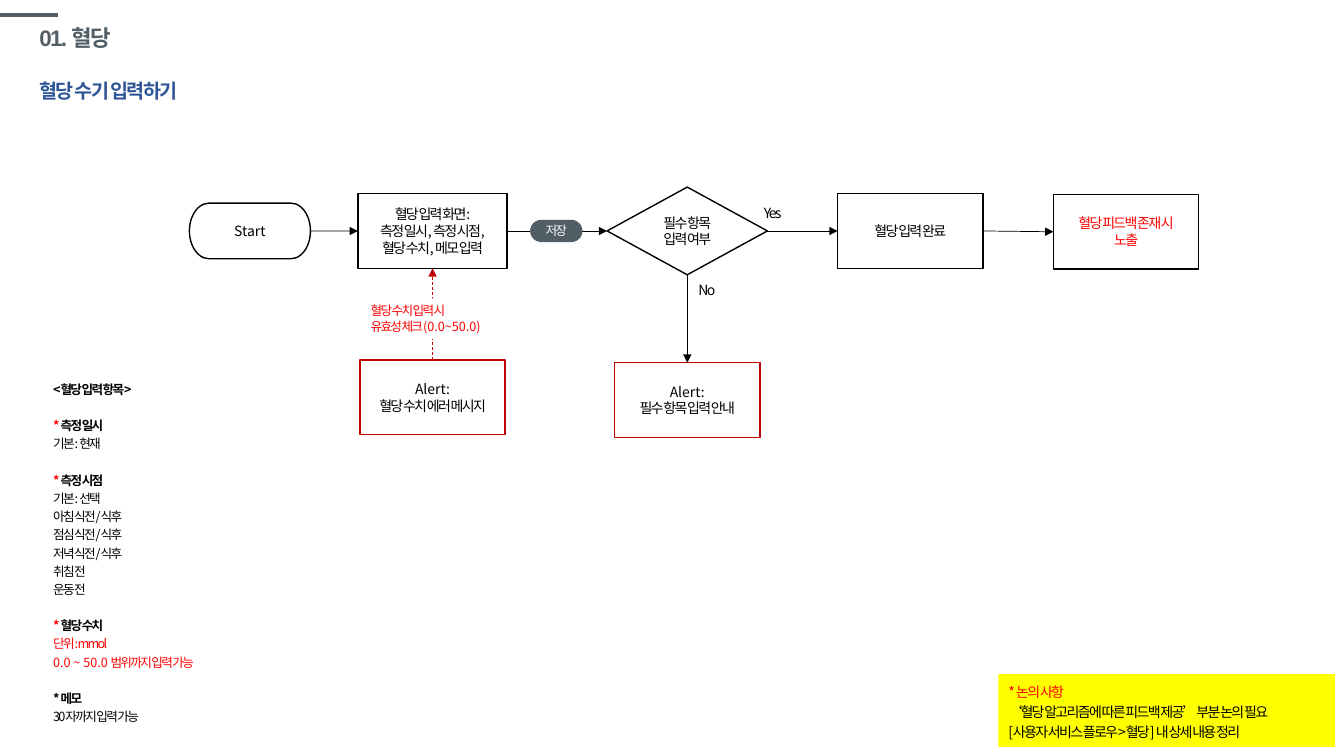
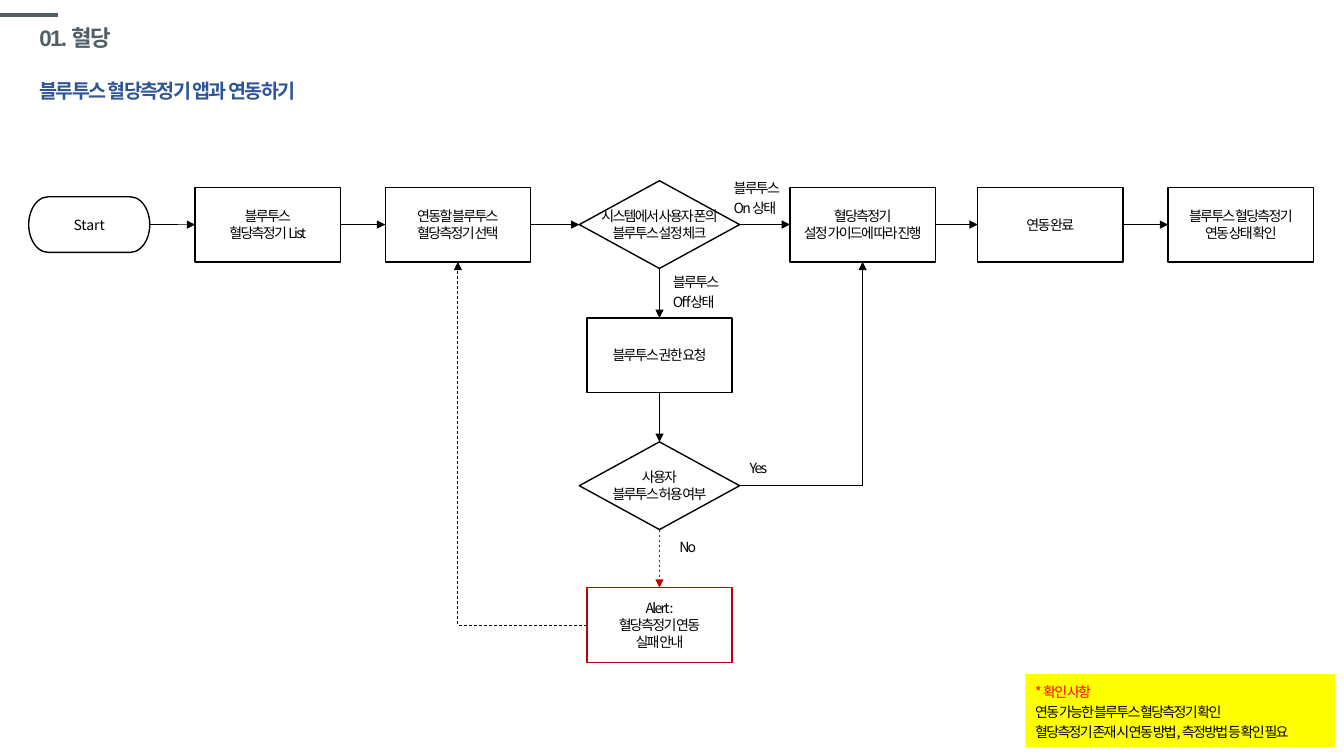
from dataclasses import dataclass
from typing import Optional

from lxml.etree import SubElement
from pptx import Presentation
from pptx.dml.color import RGBColor
from pptx.enum.dml import MSO_LINE
from pptx.enum.shapes import MSO_CONNECTOR, MSO_SHAPE
from pptx.enum.text import MSO_ANCHOR, MSO_AUTO_SIZE, PP_ALIGN
from pptx.oxml.ns import qn
from pptx.util import Cm, Pt

BLACK = RGBColor(0x00, 0x00, 0x00)
WHITE = RGBColor(0xFF, 0xFF, 0xFF)
SLATE = RGBColor(0x51, 0x5E, 0x65)
BLUE = RGBColor(0x2F, 0x55, 0x97)
RED = RGBColor(0xFF, 0x00, 0x00)
DARK_RED = RGBColor(0xC0, 0x00, 0x00)
YELLOW = RGBColor(0xFF, 0xFF, 0x00)

# Connection sites of the flowchart shapes
TOP, LEFT, BOTTOM, RIGHT = range(4)
TIGHT = -1.2


@dataclass
class Run:
    text: str
    color: Optional[RGBColor] = None
    bold: bool = False
    spacing: float = TIGHT


class FlowDeck:
    """Holds the presentation, its style and the current slide."""

    font = "Noto Sans CJK KR"
    title_font = "Arial"
    sizes = {
        MSO_SHAPE.FLOWCHART_TERMINATOR: (3.05, 1.4),
        MSO_SHAPE.FLOWCHART_PROCESS: (3.66, 1.88),
        MSO_SHAPE.FLOWCHART_DECISION: (4.04, 2.21),
    }
    note_right, note_top, note_height = 33.64, 16.99, 1.83

    def __init__(self):
        self.presentation = Presentation()
        self.presentation.slide_width = Cm(33.87)
        self.presentation.slide_height = Cm(19.05)
        self.slide = None

    def add_slide(self, title, subtitle):
        layout = self.presentation.slide_layouts[5]
        self.slide = self.presentation.slides.add_slide(layout)
        self.line(SLATE, 3, begin=(0, 0.38), end=(1.47, 0.38))
        placeholder = self.slide.shapes.title
        placeholder.left, placeholder.top = Cm(0.74), Cm(0.48)
        placeholder.width, placeholder.height = Cm(29.2), Cm(1)
        frame = placeholder.text_frame
        frame.auto_size = MSO_AUTO_SIZE.NONE
        frame.vertical_anchor = MSO_ANCHOR.MIDDLE
        self.add_lines(frame, [Run(title, SLATE, True)], 16, line_spacing=0.9,
                       font=self.title_font)
        self.text(0.74, 1.57, 12.1, 1.14, [Run(subtitle, BLUE, True)], 14, 1.5)

    def add_lines(self, frame, lines, size, color=BLACK, align=PP_ALIGN.LEFT,
                  line_spacing=1.0, font=None, gaps=()):
        """Each line is a string, a Run or a list of Runs."""
        for index, line in enumerate(lines):
            paragraph = frame.paragraphs[0] if index == 0 else frame.add_paragraph()
            paragraph.alignment = align
            paragraph.line_spacing = line_spacing
            if index in gaps:
                paragraph.space_before = Pt(13)
            for part in line if isinstance(line, list) else [line]:
                part = Run(part) if isinstance(part, str) else part
                run = paragraph.add_run()
                run.text = part.text
                run.font.size = Pt(size)
                run.font.bold = part.bold
                run.font.name = font or self.font
                run.font.color.rgb = color if part.color is None else part.color
                properties = run._r.get_or_add_rPr()
                properties.set("spc", str(round(part.spacing * 100)))
                SubElement(properties, qn("a:ea")).set("typeface", self.font)

    def text(self, left, top, width, height, lines, size=10, line_spacing=1.2,
             gaps=()):
        box = self.slide.shapes.add_textbox(Cm(left), Cm(top), Cm(width), Cm(height))
        box.text_frame.word_wrap = True
        self.add_lines(box.text_frame, lines, size, line_spacing=line_spacing, gaps=gaps)

    def shape(self, kind, left, top, width, height, fill, outline=None):
        shape = self.slide.shapes.add_shape(
            kind, Cm(left), Cm(top), Cm(width), Cm(height))
        shape.shadow.inherit = False
        shape.fill.solid()
        shape.fill.fore_color.rgb = fill
        if outline is None:
            shape.line.fill.background()
        else:
            shape.line.color.rgb = outline
            shape.line.width = Pt(1)
        shape.text_frame.vertical_anchor = MSO_ANCHOR.MIDDLE
        return shape

    def node(self, kind, center_x, center_y, lines, outline=BLACK, color=BLACK,
             width=None):
        """Flowchart shape placed by its centre."""
        usual_width, height = self.sizes[kind]
        width = width or usual_width
        shape = self.shape(kind, center_x - width / 2, center_y - height / 2,
                           width, height, WHITE, outline)
        shape.text_frame.word_wrap = False
        self.add_lines(shape.text_frame, lines, 10, color, PP_ALIGN.CENTER)
        return shape

    def start(self, center_x, center_y):
        return self.node(MSO_SHAPE.FLOWCHART_TERMINATOR, center_x, center_y,
                         [Run("Start", spacing=0)])

    def process(self, center_x, center_y, lines, **style):
        return self.node(MSO_SHAPE.FLOWCHART_PROCESS, center_x, center_y, lines, **style)

    def decision(self, center_x, center_y, lines):
        return self.node(MSO_SHAPE.FLOWCHART_DECISION, center_x, center_y, lines)

    def line(self, color, weight, begin=(0, 0), end=(0, 0), kind=MSO_CONNECTOR.STRAIGHT):
        connector = self.slide.shapes.add_connector(
            kind, *(Cm(value) for value in (*begin, *end)))
        connector.line.color.rgb = color
        connector.line.width = Pt(weight)
        SubElement(connector._element.spPr, qn("a:effectLst"))
        return connector

    def arrow(self, source, target, source_side=RIGHT, target_side=LEFT,
              color=BLACK, dashed=False, bent=False):
        kind = MSO_CONNECTOR.ELBOW if bent else MSO_CONNECTOR.STRAIGHT
        connector = self.line(color, 0.5, kind=kind)
        connector.begin_connect(source, source_side)
        connector.end_connect(target, target_side)
        if bent:
            geometry = connector._element.spPr.find(qn("a:prstGeom"))
            geometry.set("prst", "bentConnector2")
        if dashed:
            connector.line.dash_style = MSO_LINE.DASH
        outline = connector._element.spPr.find(qn("a:ln"))
        SubElement(outline, qn("a:tailEnd")).set("type", "triangle")

    def chain(self, nodes):
        for source, target in zip(nodes, nodes[1:]):
            self.arrow(source, target)

    def pill(self, center_x, center_y, label):
        width, height = 1.32, 0.56
        shape = self.shape(MSO_SHAPE.ROUNDED_RECTANGLE, center_x - width / 2,
                           center_y - height / 2, width, height, SLATE)
        shape.adjustments[0] = 0.5
        frame = shape.text_frame
        frame.margin_left = frame.margin_right = 0
        frame.margin_top = frame.margin_bottom = 0
        self.add_lines(frame, [label], 9, WHITE, PP_ALIGN.CENTER)

    def check_label(self, left, top, lines):
        shape = self.shape(MSO_SHAPE.RECTANGLE, left, top, 3.4, 1.02, WHITE)
        shape.text_frame.vertical_anchor = MSO_ANCHOR.TOP
        self.add_lines(shape.text_frame, lines, 9, RED)

    def note(self, width, heading, lines):
        shape = self.shape(MSO_SHAPE.RECTANGLE, self.note_right - width, self.note_top,
                           width, self.note_height, YELLOW)
        self.add_lines(shape.text_frame, [Run(heading, RED), *lines], 10,
                       line_spacing=1.2)

    def listing(self, left, top, width, height, groups):
        """Groups of lines, set apart by paragraph spacing."""
        lines, gaps = [], []
        for group in groups:
            if lines:
                gaps.append(len(lines))
            lines.extend(group)
        self.text(left, top, width, height, lines, 9, gaps=gaps)


def required(name):
    return [Run("* ", RED, True), Run(name, bold=True)]


def build_manual_entry(deck):
    deck.add_slide("01. 혈당", "혈당 수기 입력하기")
    row, entry_x, check_x = 5.82, 10.9, 17.32

    # Main flow
    start = deck.start(6.3, row)
    entry = deck.process(entry_x, row, ["혈당 입력 화면:", "측정 일시, 측정 시점,",
                                        "혈당 수치, 메모 입력"], width=3.76)
    check = deck.decision(check_x, row, ["필수 항목", "입력 여부"])
    done = deck.process(22.94, row, ["혈당 입력 완료"])
    feedback = deck.process(28.38, row + 0.02, ["혈당 피드백 존재 시", "노출"], color=RED)
    deck.chain([start, entry, check, done, feedback])
    deck.pill(14.02, row, "저장")

    # Alerts
    value_alert = deck.process(entry_x, 10.01, [Run("Alert:", spacing=0),
                                                "혈당 수치 에러 메시지"], outline=DARK_RED)
    missing_alert = deck.process(check_x, 10.08, [Run("Alert:", spacing=0),
                                                  "필수 항목 입력 안내"], outline=DARK_RED)
    deck.arrow(value_alert, entry, TOP, BOTTOM, DARK_RED, dashed=True)
    deck.arrow(check, missing_alert, BOTTOM, TOP)
    deck.check_label(9.09, 7.52, [
        "혈당 수치 입력 시",
        [Run("유효성 체크("), Run("0.0~50.0", spacing=0), Run(")")]])
    deck.text(19, 4.95, 1.32, 0.72, ["Yes"])
    deck.text(17.35, 6.88, 1.32, 0.72, ["No"])

    # Input fields and note
    deck.listing(1.09, 9.42, 4.47, 9.02, [
        [Run("<혈당 입력 항목>", bold=True)],
        [required("측정 일시"), "기본: 현재"],
        [required("측정 시점"), "기본: 선택", "아침 식전/식후", "점심 식전/식후",
         "저녁 식전/식후", "취침 전", "운동 전"],
        [required("혈당 수치"), Run("단위: mmol", RED),
         [Run("0.0 ~ 50.0 ", RED, spacing=0), Run("범위까지 입력 가능", RED)]],
        [Run("* 메모", bold=True), "30자까지 입력 가능"],
    ])
    deck.note(8.48, "* 논의 사항", [
        "‘혈당 알고리즘에 따른 피드백 제공’ 부분 논의 필요",
        "[사용자 서비스 플로우>혈당] 내 상세 내용 정리"])


def build_bluetooth_link(deck):
    deck.add_slide("01. 혈당", "블루투스 혈당측정기 앱과 연동하기")
    row, check_x = 5.66, 16.62

    # Main flow
    start = deck.start(2.25, row)
    meters = deck.process(6.75, row, ["블루투스", "혈당측정기 List"])
    choice = deck.process(11.54, row, ["연동할 블루투스", "혈당측정기 선택"])
    check = deck.decision(check_x, row, ["시스템에서 사용자 폰의", "블루투스 설정 체크"])
    guide = deck.process(21.74, row, ["혈당측정기", "설정 가이드에 따라 진행"])
    done = deck.process(26.47, row, ["연동 완료"])
    status = deck.process(31.27, row, ["블루투스 혈당측정기", "연동 상태 확인"])
    deck.chain([start, meters, choice, check, guide, done, status])

    # Permission branch
    request = deck.process(check_x, 8.95, ["블루투스 권한 요청"])
    consent = deck.decision(check_x, 12.24, ["사용자", "블루투스 허용 여부"])
    alert = deck.process(check_x, 15.75, ["Alert :", "혈당측정기 연동", "실패 안내"],
                         outline=DARK_RED)
    deck.arrow(check, request, BOTTOM, TOP)
    deck.arrow(request, consent, BOTTOM, TOP)
    deck.arrow(consent, alert, BOTTOM, TOP, DARK_RED, dashed=True)
    deck.arrow(consent, guide, RIGHT, BOTTOM, bent=True)
    deck.arrow(alert, choice, LEFT, BOTTOM, dashed=True, bent=True)

    # Branch labels and note
    deck.text(18.24, 4.32, 1.96, 1.27, ["블루투스", "On 상태"])
    deck.text(16.71, 6.68, 1.83, 1.27, ["블루투스", "Off 상태"])
    deck.text(18.64, 11.38, 1.32, 0.72, ["Yes"])
    deck.text(16.87, 13.36, 1.32, 0.72, ["No"])
    deck.note(7.8, "* 확인 사항", [
        "연동 가능한 블루투스 혈당측정기 확인",
        "혈당측정기 존재 시 연동 방법, 측정방법 등 확인 필요"])


def main():
    deck = FlowDeck()
    build_manual_entry(deck)
    build_bluetooth_link(deck)
    deck.presentation.save("out.pptx")


if __name__ == "__main__":
    main()
